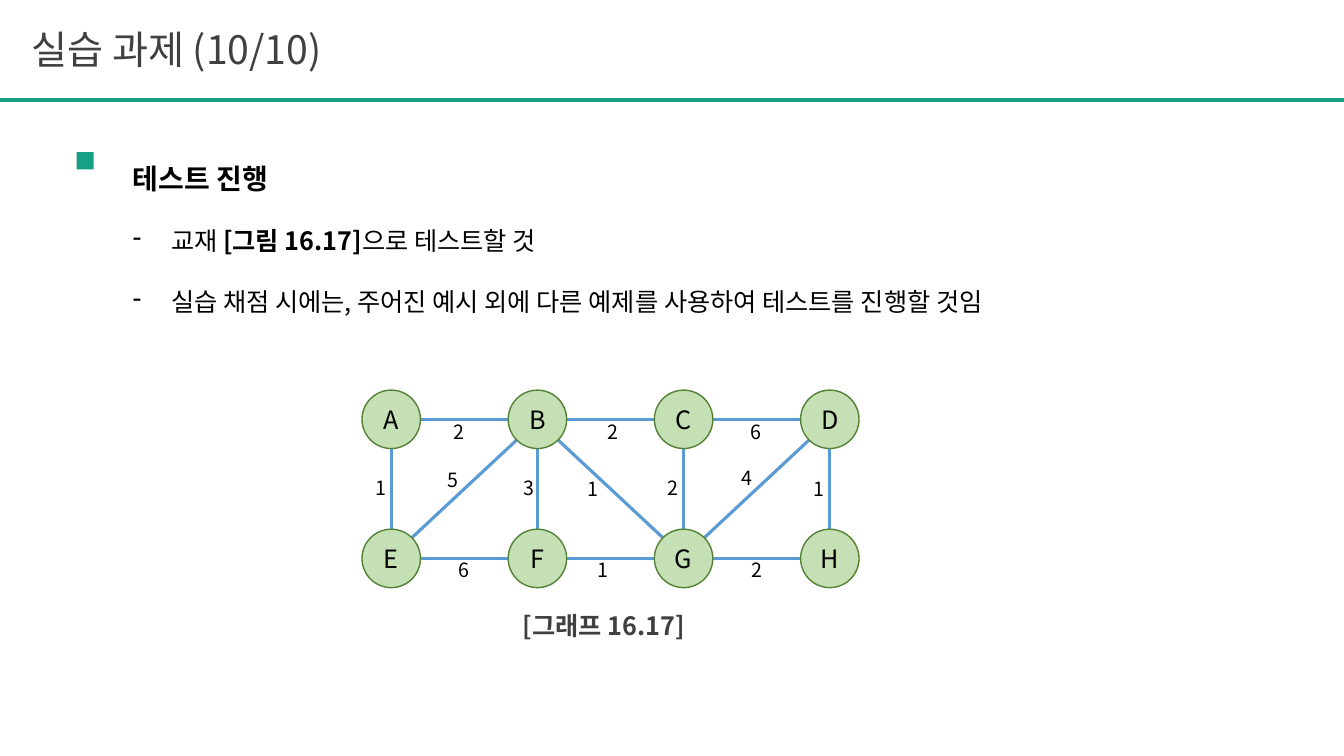
import math
from lxml import etree
from pptx import Presentation
from pptx.dml.color import RGBColor
from pptx.enum import shapes, text
from pptx.oxml.ns import qn
from pptx.util import Inches, Pt

# Content
TITLE = "실습 과제 (10/10)"
HEADING = "테스트 진행"
TASKS = [
    [("교재 ", False), ("[그림 16.17]", True), ("으로 테스트할 것", False)],
    [("실습 채점 시에는, 주어진 예시 외에 다른 예제를 사용하여 테스트를 진행할 것임", False)],
]
CAPTION = "[그래프 16.17]"
NODE_ROWS = ["ABCD", "EFGH"]
# Edge, weight, offset of the weight from the middle of the edge
EDGES = [
    ("AB", 2, (-0.05, 0.12)), ("BC", 2, (0.02, 0.12)), ("CD", 6, (-0.01, 0.12)),
    ("AE", 1, (-0.1, -0.01)), ("BE", 5, (-0.11, -0.09)), ("BF", 3, (-0.08, -0.01)),
    ("BG", 1, (-0.17, 0)), ("CG", 2, (-0.11, -0.01)), ("DG", 4, (-0.1, -0.11)),
    ("DH", 1, (-0.11, 0)), ("EF", 6, (0, 0.11)), ("FG", 1, (-0.07, 0.11)),
    ("GH", 2, (0, 0.11)),
]

# Style
FONT = "Noto Sans CJK KR"
COLORS = {"teal": "16A085", "dark": "404040", "black": "000000",
          "node": "C5E0B4", "outline": "548235", "edge": "5B9BD5"}
WIDTH, HEIGHT = 13.33, 7.5
LEFT, TOP, COL, ROW, RADIUS = 3.88, 4.16, 1.45, 1.38, 0.29
LABEL = 0.34
INDENT, LINE_PITCH = 0.38, 43.2


def color(name):
    return RGBColor.from_string(COLORS[name])


def style(p, size, name="black", bold=False, align=None):
    p.font.size, p.font.bold, p.font.name = Pt(size), bold, FONT
    p.font.color.rgb = color(name)
    latin = p._p.pPr.find(qn("a:defRPr")).find(qn("a:latin"))
    east_asian = etree.Element(qn("a:ea"), typeface=FONT)
    latin.addnext(east_asian)
    p.alignment = align


def add_text(box, content, size, **kw):
    tf = box.text_frame
    tf.word_wrap = True
    tf.vertical_anchor = text.MSO_ANCHOR.MIDDLE
    tf.margin_left = tf.margin_right = tf.margin_top = tf.margin_bottom = 0
    p = tf.paragraphs[0]
    p.text = content
    style(p, size, **kw)


def add_box(x, y, w, h):
    return slide.shapes.add_textbox(Inches(x), Inches(y), Inches(w), Inches(h))


def add_shape(kind, x, y, size, fill):
    s = slide.shapes.add_shape(kind, Inches(x), Inches(y), Inches(size), Inches(size))
    s.shadow.inherit = False
    s.fill.solid()
    s.fill.fore_color.rgb = color(fill)
    s.line.fill.background()
    return s


def add_line(start, end, name, width):
    c = slide.shapes.add_connector(shapes.MSO_CONNECTOR.STRAIGHT,
                                   *(Inches(v) for v in (*start, *end)))
    c.line.color.rgb = color(name)
    c.line.width = Pt(width)
    etree.SubElement(c._element.spPr, qn("a:effectLst"))


prs = Presentation()
prs.slide_width, prs.slide_height = Inches(WIDTH), Inches(HEIGHT)
slide = prs.slides.add_slide(prs.slide_layouts[5])
CENTER = text.PP_ALIGN.CENTER

# Title and rule
title = slide.shapes.title
title.left, title.top, title.width, title.height = map(Inches, (0.31, 0.2, 10, 0.57))
add_text(title, TITLE, 28, name="dark", align=text.PP_ALIGN.LEFT)
add_line((0, 0.99), (WIDTH, 0.99), "teal", 3)

# Heading and tasks
add_shape(shapes.MSO_SHAPE.RECTANGLE, 0.76, 1.51, 0.17, "teal")
tf = add_box(1.22, 1.29, 11.9, 1.9).text_frame
tf.word_wrap = True
for i, runs in enumerate([[(HEADING, True)], *TASKS]):
    p = tf.paragraphs[0] if i == 0 else tf.add_paragraph()
    style(p, 20 if i == 0 else 18, bold=i == 0, align=text.PP_ALIGN.JUSTIFY)
    p.line_spacing = Pt(LINE_PITCH)
    for content, bold in runs:
        r = p.add_run()
        r.text = content
        r.font.bold = bold
    if i:
        pPr = p._p.pPr
        pPr.set("marL", str(Inches(INDENT)))
        pPr.set("indent", str(-Inches(INDENT)))
        bullet = etree.Element(qn("a:buChar"), char="-")
        pPr.find(qn("a:defRPr")).addprevious(bullet)

# Graph edges, from rim to rim, with weights
centers = {name: (LEFT + col * COL, TOP + row * ROW)
           for row, names in enumerate(NODE_ROWS) for col, name in enumerate(names)}
for (a, b), weight, (off_x, off_y) in EDGES:
    (ax, ay), (bx, by) = centers[a], centers[b]
    dx, dy = (bx > ax) - (bx < ax), (by > ay) - (by < ay)
    reach = RADIUS / math.hypot(dx, dy)
    add_line((ax + dx * reach, ay + dy * reach),
             (bx - dx * reach, by - dy * reach), "edge", 2.25)
    label = add_box((ax + bx - LABEL) / 2 + off_x, (ay + by - LABEL) / 2 + off_y, LABEL, LABEL)
    add_text(label, str(weight), 14, align=CENTER)

# Graph nodes
for name, (x, y) in centers.items():
    node = add_shape(shapes.MSO_SHAPE.OVAL, x - RADIUS, y - RADIUS, 2 * RADIUS, "node")
    node.line.color.rgb = color("outline")
    node.line.width = Pt(1)
    add_text(node, name, 18, align=CENTER)

# Caption
add_text(add_box(4.74, 6.0, 2.5, 0.4), CAPTION, 18, name="dark", bold=True, align=CENTER)

prs.save("out.pptx")
